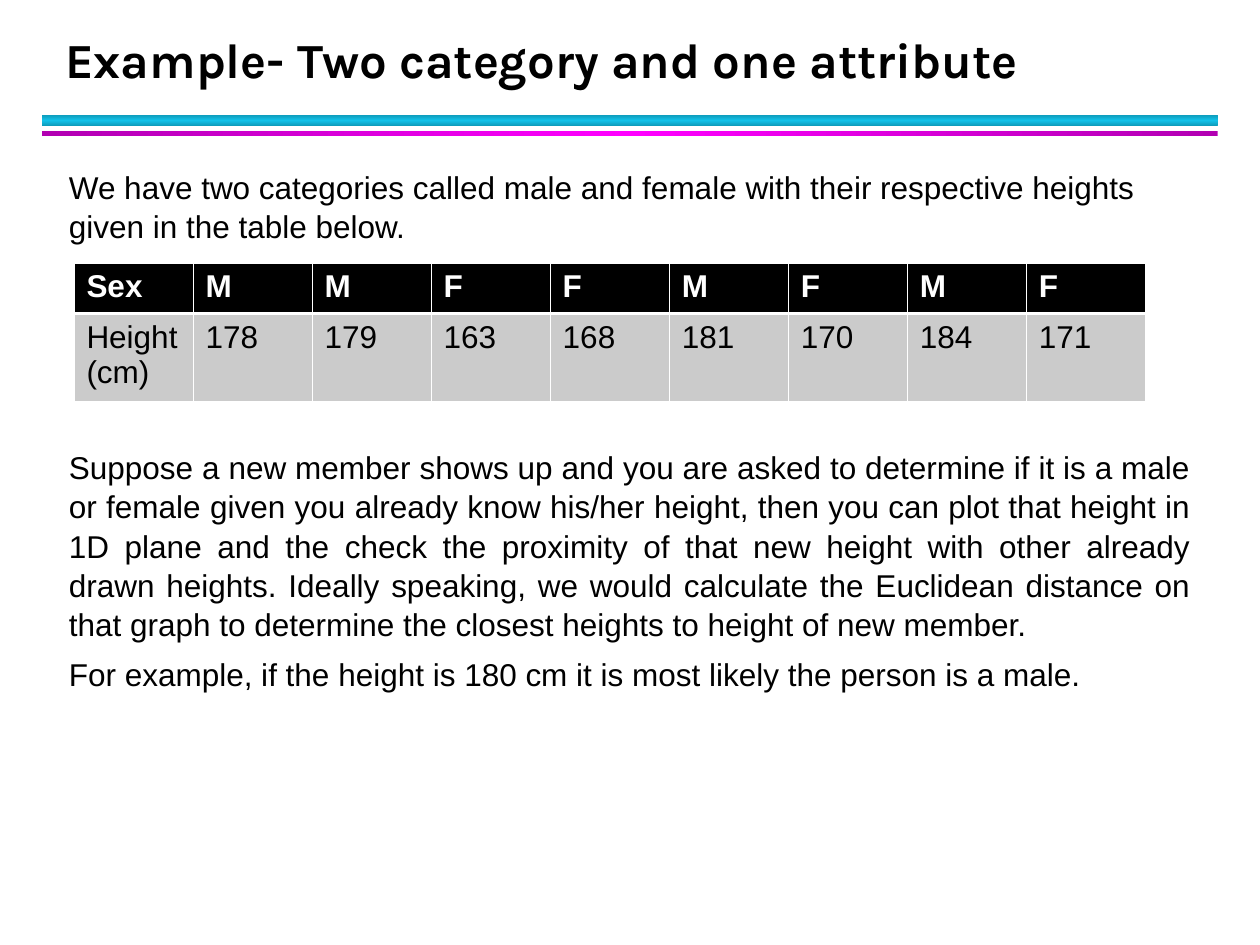
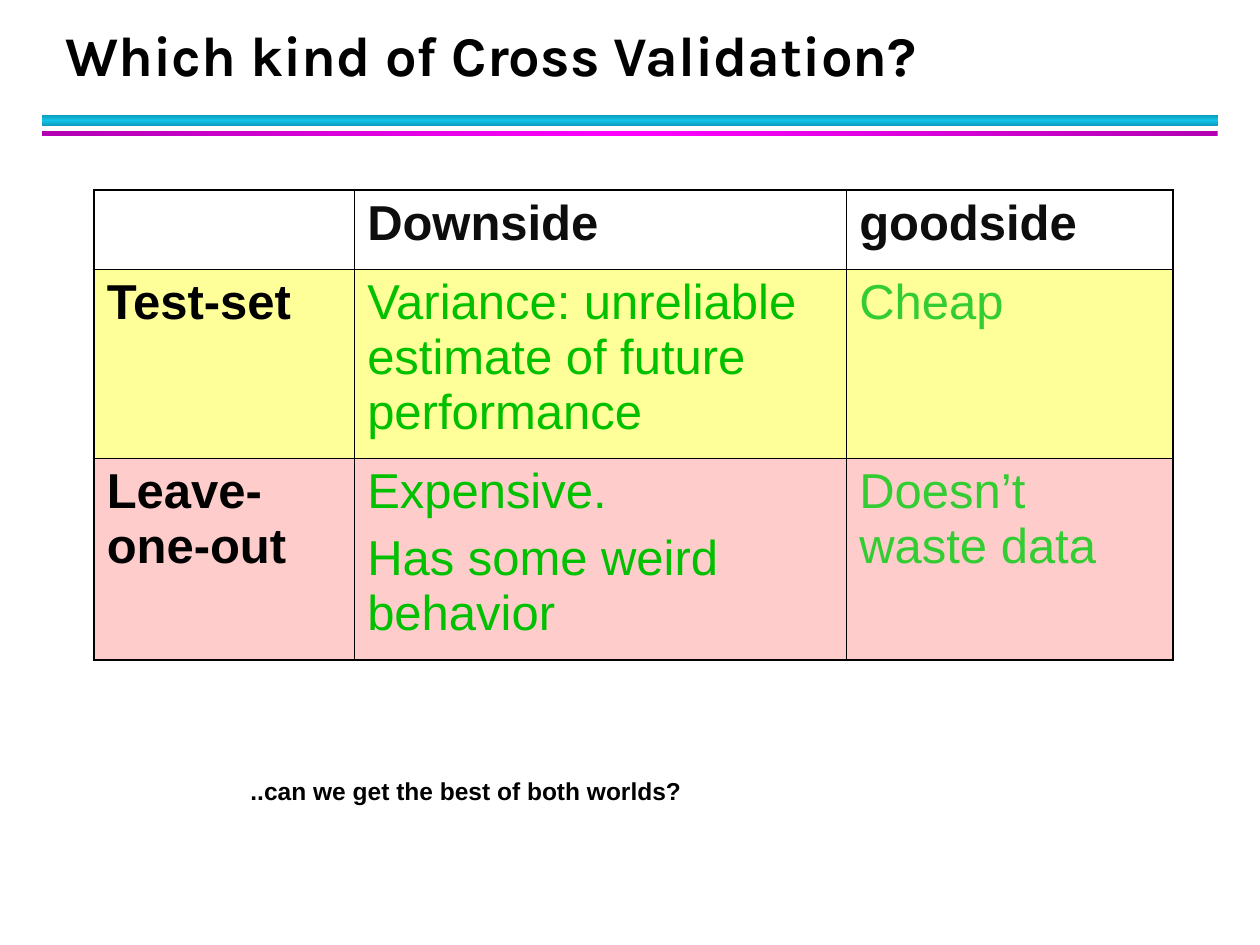
"""Builds two slides: a one-attribute example and a cross validation comparison."""
from lxml import etree
from pptx import Presentation
from pptx import util as u
from pptx.dml.color import RGBColor
from pptx.enum import shapes, text
from pptx.oxml.ns import qn

COLORS = {
    "black": "000000", "white": "FFFFFF", "ink": "0D0D0D", "grey": "CBCBCB",
    "teal": "0E9BBA", "cyan": "12C2E9", "purple": "B200B2", "magenta": "FF00FF",
    "green": "00C000", "lime": "33CC33", "yellow": "FFFF99", "pink": "FFCCCC",
}
BODY_FONT = "Arial"
TITLE_FONT = "Karla"
TITLE_ONLY = 5


def rgb(name):
    return RGBColor.from_string(COLORS[name])


def cm_box(*lengths):
    return [u.Cm(n) for n in lengths]


def add_solid(parent, color):
    fill = etree.SubElement(parent, qn("a:solidFill"))
    etree.SubElement(fill, qn("a:srgbClr"), val=COLORS[color])


def style_text(tf, size, color, bold=False, font=BODY_FONT):
    for p in tf.paragraphs:
        for r in p.runs:
            r.font.name, r.font.size, r.font.bold = font, u.Pt(size), bold
            r.font.color.rgb = rgb(color)


def add_band(s, box, edge, middle, angle):
    sp = s.shapes.add_shape(shapes.MSO_SHAPE.RECTANGLE, *cm_box(*box))
    sp.shadow.inherit = False
    sp.line.fill.background()
    grad = etree.Element(qn("a:gradFill"), rotWithShape="1")
    stops = etree.SubElement(grad, qn("a:gsLst"))
    for pos, color in ((0, edge), (50, middle), (100, edge)):
        gs = etree.SubElement(stops, qn("a:gs"), pos=str(pos * 1000))
        etree.SubElement(gs, qn("a:srgbClr"), val=COLORS[color])
    etree.SubElement(grad, qn("a:lin"), ang=str(angle * 60000), scaled="0")
    sp.element.spPr.find(qn("a:prstGeom")).addnext(grad)
    s.slide_layout.shapes.element.append(sp.element)


def add_titled_slide(prs, title, size):
    s = prs.slides.add_slide(prs.slide_layouts[TITLE_ONLY])
    sp = s.shapes.title
    sp.left, sp.top, sp.width, sp.height = cm_box(1.06, 0.43, 23.01, 1.47)
    tf = sp.text_frame
    tf.text = title
    tf.word_wrap = True
    tf.auto_size = text.MSO_AUTO_SIZE.NONE
    tf.vertical_anchor = text.MSO_ANCHOR.BOTTOM
    p = tf.paragraphs[0]
    p.alignment = text.PP_ALIGN.LEFT
    p.line_spacing = u.Pt(36)
    style_text(tf, size, "black", True, TITLE_FONT)
    return s


def add_text(s, box, content, size, bold=False, align=text.PP_ALIGN.LEFT, spacing=1.0):
    tf = s.shapes.add_textbox(*cm_box(*box)).text_frame
    tf.text = content
    tf.word_wrap = True
    for i, p in enumerate(tf.paragraphs):
        p.alignment = align
        p.line_spacing = spacing
        p.space_before = u.Pt(6.2 if i else 0)
    style_text(tf, size, "black", bold)


def add_borders(tc_pr, color, widths):
    for i, (side, width) in enumerate(zip("LRTB", widths)):
        ln = etree.Element(qn(f"a:ln{side}"), w=str(u.Pt(width)))
        add_solid(ln, color)
        tc_pr.insert(i, ln)


def add_table(s, corner, widths, heights, rows, size, look, border, outer, inner, rule):
    """Add a table; look(row, col) gives a cell's text colour, bold and fill."""
    n_rows, n_cols = len(heights), len(widths)
    box = (*corner, sum(widths), sum(heights))
    gf = s.shapes.add_table(n_rows, n_cols, *cm_box(*box))
    tb = gf.table
    tb.first_row = tb.horz_banding = False
    for col, width in zip(tb.columns, widths):
        col.width = u.Cm(width)
    for row, height in zip(tb.rows, heights):
        row.height = u.Cm(height)
    for i, row in enumerate(rows):
        for j, content in enumerate(row):
            cell = tb.cell(i, j)
            color, bold, fill = look(i, j)
            cell.text = content
            for p in cell.text_frame.paragraphs[1:]:
                p.space_before = u.Pt(7)
            style_text(cell.text_frame, size, color, bold)
            if fill:
                cell.fill.solid()
                cell.fill.fore_color.rgb = rgb(fill)
            else:
                cell.fill.background()
    lines_x = [outer] + [inner] * (n_cols - 1) + [outer]
    lines_y = [outer, rule] + [inner] * (n_rows - 2) + [outer]
    for k, tc_pr in enumerate(gf.element.iter(qn("a:tcPr"))):
        i, j = divmod(k, n_cols)
        add_borders(tc_pr, border, lines_x[j:j + 2] + lines_y[i:i + 2])


def height_look(i, j):
    return ("black", False, "grey") if i else ("white", True, "black")


def validation_look(i, j):
    fill = (None, "yellow", "pink")[i]
    if i == 0:
        return "ink", True, fill
    return ("black", "green", "lime")[j], j == 0, fill


def build_example(prs):
    s = add_titled_slide(prs, "Example- Two category and one attribute", 28)
    add_band(s, (0.85, 2.32, 23.7, 0.22), "teal", "cyan", 90)
    add_band(s, (0.85, 2.64, 23.7, 0.1), "purple", "magenta", 0)
    add_text(s, (1.14, 3.23, 23.11, 1.8),
             "We have two categories called male and female with their respective "
             "heights given in the table below.", 18, spacing=1.04)
    heights = [("M", 178), ("M", 179), ("F", 163), ("F", 168),
               ("M", 181), ("F", 170), ("M", 184), ("F", 171)]
    rows = [["Sex"] + [sex for sex, _ in heights],
            ["Height\v(cm)"] + [str(cm) for _, cm in heights]]
    add_table(s, (1.49, 5.3), [2.4] * 9, [1.01, 1.77], rows, 18, height_look,
              "white", 0.45, 0.45, 1.47)
    add_text(s, (1.14, 8.88, 23.11, 5.2),
             "Suppose a new member shows up and you are asked to determine if it is "
             "a male or female given you already know his/her height, then you can "
             "plot that height in 1D plane and the check the proximity of that new "
             "height with other already drawn heights. Ideally speaking, we would "
             "calculate the Euclidean distance on that graph to determine the "
             "closest heights to height of new member.\n"
             "For example, if the height is 180 cm it is most likely the person is "
             "a male.", 18, align=text.PP_ALIGN.JUSTIFY, spacing=1.04)


def build_validation(prs):
    s = add_titled_slide(prs, "Which kind of Cross Validation?", 32)
    rows = [
        ["", "Downside", "goodside"],
        ["Test-set", "Variance: unreliable estimate of future performance", "Cheap"],
        ["Leave-one-out", "Expensive.\nHas some weird behavior", "Doesn’t waste data"],
    ]
    add_table(s, (1.9, 3.83), [5.25, 9.92, 6.57], [1.6, 3.81, 4.06], rows, 28,
              validation_look, "black", 1.08, 0.45, 0.45)
    add_text(s, (4.8, 15.52, 18.97, 0.86), "..can we get the best of both worlds?",
             14, bold=True)


def main():
    prs = Presentation()
    prs.slide_width, prs.slide_height = cm_box(25.4, 19.05)
    build_example(prs)
    build_validation(prs)
    prs.save("out.pptx")


if __name__ == "__main__":
    main()
